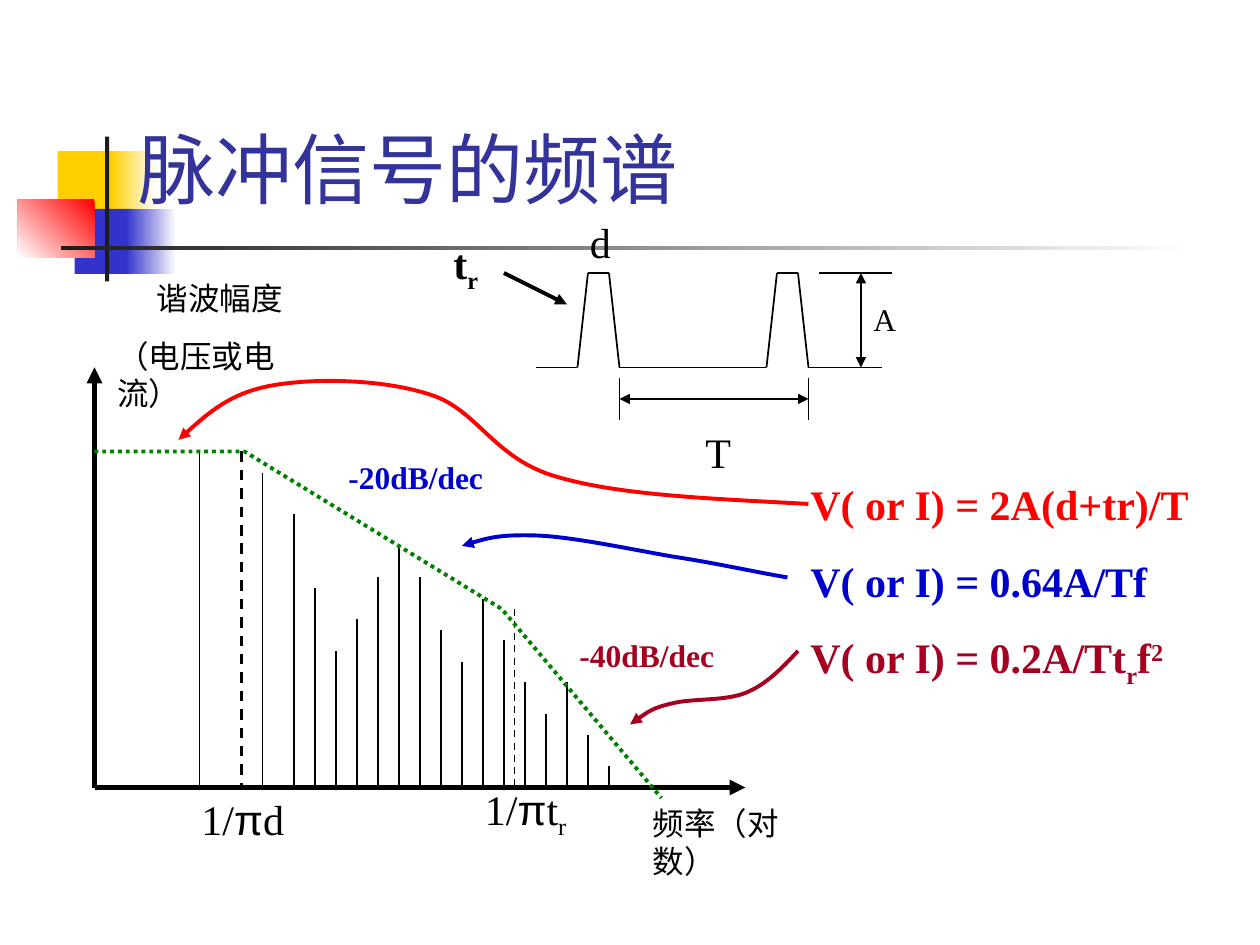
from dataclasses import dataclass
from itertools import pairwise

from lxml import etree
from pptx import Presentation, util as u
from pptx.dml.color import RGBColor
from pptx.enum import dml, shapes, text
from pptx.oxml.ns import qn


@dataclass(frozen=True)
class Theme:
    serif: str = "Times New Roman"
    sans: str = "Arial"
    head: str = "Lato"
    title: str = "333399"
    black: str = "000000"
    red: str = "FF0000"
    blue: str = "0000CC"
    wine: str = "A50021"
    green: str = "008000"
    gold: str = "FFCF01"
    navy: str = "3333CC"
    dark: str = "1C1C1C"
    white: str = "FFFFFF"
    huge: int = 44
    big: int = 24
    small: int = 18


T = Theme()
CELL = u.Inches(1) // 12  # the slide is a grid of 120 columns by 90 rows
BASE = 75  # row of the frequency axis
DASH = dml.MSO_LINE.DASH
DOT = dml.MSO_LINE.ROUND_DOT

DECOR = [  # column, row, width, height, colours, angle
    (5.5, 14.4, 5.8, 6.2, [T.gold], 0),
    (10.6, 14.4, 4.3, 6.2, [T.white, T.gold], 180),
    (7.1, 19.9, 5.5, 6.2, [T.navy], 0),
    (12, 19.9, 4.8, 6.2, [T.white, T.navy], 180),
    (1.7, 19, 7.3, 5.5, [T.red, T.white], 225),
    (10, 13, 0.4, 13.8, [T.dark], 0),
    (5.8, 23.4, 108, 0.4, [T.white, T.dark], 180),
]
TOPS = [49, 56, 62, 59, 55, 52, 55, 60, 63, 57, 61, 65, 68, 65, 70, 73]
BARS = [(19, 43), (25, 45)] + [(28 + 2 * i, top) for i, top in enumerate(TOPS)]
PULSE = [(51, 35), (55, 35), (56, 26), (58, 26), (59, 35),
         (73, 35), (74, 26), (76, 26), (77, 35), (84, 35)]
BOUND = [(9, 43), (23.3, 43), (47.8, 58), (63, 76)]
CURVES = [  # start, then two handles and an end for each bend
    (T.red, [(77, 48), (68, 47.5), (59, 47.2), (53, 45.4),
             (47, 43.7), (45.5, 39), (41, 37.6),
             (36.5, 36.1), (30, 36), (26, 36.7),
             (22, 37.4), (19.4, 39.7), (17, 41.9)]),
    (T.blue, [(75, 55), (71.5, 54.4), (68, 53.6), (64, 53),
              (60, 52.3), (54.4, 51.1), (51, 51),
              (47.6, 50.9), (45.8, 51.4), (44, 52)]),
    (T.wine, [(76, 62), (74.5, 63.6), (73, 65.2), (71, 66),
              (69, 66.8), (65.9, 66.5), (64, 67),
              (62.2, 67.4), (61.1, 68.2), (60, 69)]),
]


def grid(*cells):
    return [round(c * CELL) for c in cells]


def rgb(code):
    return RGBColor.from_string(code)


def block(slide, x, y, w, h, tones, angle):
    box = slide.shapes.add_shape(shapes.MSO_SHAPE.RECTANGLE, *grid(x, y, w, h))
    box.shadow.inherit = False
    box.line.fill.background()
    if len(tones) == 1:
        box.fill.solid()
        box.fill.fore_color.rgb = rgb(tones[0])
        return
    box.fill.gradient()
    box.fill.gradient_angle = angle
    for stop, tone in zip(box.fill.gradient_stops, tones):
        stop.color.rgb = rgb(tone)


def stroke(shape, color, width, dash=None, ends=()):
    """Style a line; ends holds headEnd and/or tailEnd, in that order."""
    shape.line.color.rgb = rgb(color)
    shape.line.width = u.Pt(width)
    if dash:
        shape.line.dash_style = dash
    props = shape._element.spPr
    for end in ends:
        etree.SubElement(props.find(qn("a:ln")), qn("a:" + end), type="triangle")
    etree.SubElement(props, qn("a:effectLst"))


def line(slide, start, end, width=1, dash=None, ends=()):
    item = slide.shapes.add_connector(
        shapes.MSO_CONNECTOR.STRAIGHT, *grid(*start, *end))
    stroke(item, T.black, width, dash, ends)


def trace(slide, points):
    first, *rest = [grid(*point) for point in points]
    pen = slide.shapes.build_freeform(*first)
    pen.add_line_segments(rest, close=False)
    shape = pen.convert_to_shape()
    shape.fill.background()
    return shape


def curve(slide, color, points):
    """Draw an arrow whose points are read as Bezier handles and ends."""
    shape = trace(slide, points)
    steps = list(shape._element.iter(qn("a:lnTo")))
    for i in range(0, len(steps), 3):
        bend = etree.Element(qn("a:cubicBezTo"))
        steps[i].addprevious(bend)
        for step in steps[i:i + 3]:
            bend.append(step[0])
            step.getparent().remove(step)
    stroke(shape, color, 2.25, ends=["tailEnd"])


def write(para, runs, size, color, bold=False):
    """Fill a paragraph; a run is text or (text, baseline share, font)."""
    para.font.size = u.Pt(size)
    para.font.color.rgb = rgb(color)
    para.font.bold = bold
    para.font.name = T.serif
    for part in runs:
        word, shift, face = (part, 0, None) if isinstance(part, str) else part
        run = para.add_run()
        run.text = word
        if shift:
            run.font._element.set("baseline", str(shift * 1000))
        if face:
            run.font.name = face


def label(slide, x, y, w, h, rows, size=T.small, gap=0, indent=0):
    """Add a text box; each row is (runs, colour, bold)."""
    frame = slide.shapes.add_textbox(*grid(x, y, w, h)).text_frame
    frame.word_wrap = True
    for i, (runs, color, bold) in enumerate(rows):
        para = frame.add_paragraph() if i else frame.paragraphs[0]
        if i:
            para.space_before = u.Pt(gap)
        elif indent:
            para._p.get_or_add_pPr().set("indent", str(u.Pt(indent)))
        write(para, runs, size, color, bold)


def head(slide, words):
    title = slide.shapes.title
    title.left, title.top, title.width, title.height = grid(12, 6, 102, 15)
    frame = title.text_frame
    frame.text = words
    frame.vertical_anchor = text.MSO_ANCHOR.BOTTOM
    para = frame.paragraphs[0]
    para.alignment = text.PP_ALIGN.LEFT
    para.font.size = u.Pt(T.huge)
    para.font.name = T.head
    para.font.color.rgb = rgb(T.title)
    title._element.getparent().append(title._element)  # above the blocks


def chart(slide):
    for end in [(9, 35), (71, BASE)]:
        line(slide, (9, BASE), end, 3, ends=["tailEnd"])
    for x, top in BARS:
        line(slide, (x, top), (x, BASE))
    line(slide, (23, 43), (23, BASE), 1.5, DASH)
    line(slide, (49, 58), (49, BASE), 1, DASH)
    stroke(trace(slide, BOUND), T.green, 2.25, DOT)


def pulse(slide):
    both = ["headEnd", "tailEnd"]
    for start, end in pairwise(PULSE):
        line(slide, start, end)
    for x in (59, 77):
        line(slide, (x, 36), (x, 40))
    line(slide, (59, 38), (77, 38), ends=both)
    line(slide, (78, 26), (85, 26), 0.75)
    line(slide, (82, 26), (82, 35), 1.5, ends=both)
    line(slide, (48, 26), (54, 29), 2.25, ends=["tailEnd"])


def labels(slide):
    pi, sub = ("π", 0, T.sans), ("r", -25, None)
    for x, y, w, h, runs, bold in [
        (66, 40, 6, 6, ["T"], False),
        (18, 75, 12, 6, ["1/", pi, "d"], False),
        (45, 74, 12, 6.7, ["1/", pi, "t", sub], False),
        (55, 20, 3.7, 6, ["d"], False),
        (42, 22, 7, 6.7, ["t", sub], True),
    ]:
        label(slide, x, y, w, h, [(runs, T.black, bold)], T.big)
    for x, y, w, h, word, color, bold in [
        (61, 76, 20, 8.4, "频率（对数）", T.black, False),
        (32, 43, 17, 4.8, "-20dB/dec", T.blue, True),
        (54, 60, 16, 4.8, "-40dB/dec", T.wine, True),
        (82, 28, 6, 4.8, "A", T.black, False),
    ]:
        label(slide, x, y, w, h, [([word], color, bold)])
    label(slide, 10, 26, 23, 13.9,
          [([word], T.black, False) for word in ("谐波幅度", "（电压或电流）")],
          gap=11.2, indent=22.5)
    label(slide, 76, 45, 41, 28.6, [
        (["V( or I) = 2A(d+tr)/T"], T.red, True),
        (["V( or I) = 0.64A/Tf"], T.blue, True),
        (["V( or I) = 0.2A/Tt", sub, "f", ("2", 30, None)], T.wine, True),
    ], T.big, gap=15)


def main():
    deck = Presentation()
    deck.slide_width, deck.slide_height = grid(120, 90)
    slide = deck.slides.add_slide(deck.slide_layouts[5])
    for item in DECOR:
        block(slide, *item)
    head(slide, "脉冲信号的频谱")
    chart(slide)
    pulse(slide)
    labels(slide)
    for color, points in CURVES:
        curve(slide, color, points)
    deck.save("out.pptx")


if __name__ == "__main__":
    main()
